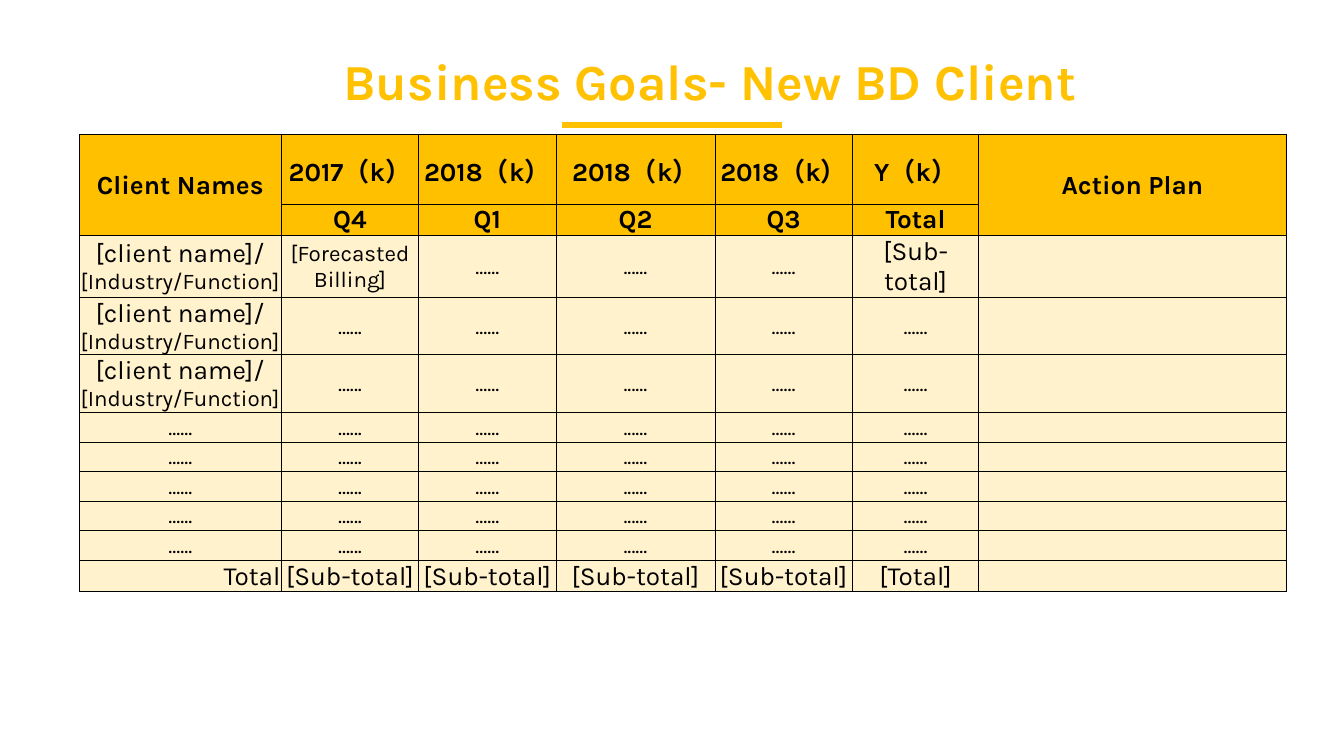
from lxml import etree
from pptx import Presentation, util as u
from pptx.dml.color import RGBColor
from pptx.enum import shapes, text
from pptx.oxml.ns import qn

# Content
HEADING = "Business Goals- New BD Client"
PERIODS = ["Client Names", "2017（k）", "2018（k）", "2018（k）", "2018（k）", "Y（k）", "Action Plan"]
QUARTERS = ["", "Q4", "Q1", "Q2", "Q3", "Total", ""]
CLIENT = "[client name]/\n[Industry/Function]"
DOTS = "......"
GOALS = [
    PERIODS,
    QUARTERS,
    [CLIENT, "[Forecasted Billing]", DOTS, DOTS, DOTS, "[Sub-total]", ""],
    *[[CLIENT] + [DOTS] * 5 + [""]] * 2,
    *[[DOTS] * 6 + [""]] * 5,
    ["Total"] + ["[Sub-total]"] * 4 + ["[Total]", ""],
]
SMALL_TEXTS = {DOTS, "[Industry/Function]", "[Forecasted Billing]", ""}

# Grid: column shares of the table width, row heights in inches
TABLE_WIDTH = 8.98
COLUMNS = [1.5, 1.02, 1.02, 1.18, 1.02, 0.94, 2.28]
ROWS = [0.22, 0.22, 0.29, 0.24] + [0.22] * 7
HEADER_ROWS = 2
CELL_MARGIN = u.Pt(0.5)

FONT = "Karla"
ACCENT = RGBColor(0xFF, 0xC1, 0x00)
HEADER_FILL = RGBColor(0xFF, 0xC0, 0x00)
BODY_FILL = RGBColor(0xFF, 0xF2, 0xCC)
BLACK = RGBColor(0, 0, 0)


def style(paragraph, size, color, bold, align=text.PP_ALIGN.CENTER):
    paragraph.alignment = align
    font = paragraph.font
    font.name, font.size, font.bold = FONT, u.Pt(size), bold
    font.color.rgb = color


def add_borders(cell):
    properties = cell._tc.get_or_add_tcPr()
    for index, side in enumerate(("lnL", "lnR", "lnT", "lnB")):
        border = etree.Element(qn(f"a:{side}"), w=str(u.Pt(0.5)))
        fill = etree.SubElement(border, qn("a:solidFill"))
        etree.SubElement(fill, qn("a:srgbClr"), val=str(BLACK))
        properties.insert(index, border)


def fill_cell(cell, content, is_header, align):
    cell.text = content
    cell.vertical_anchor = text.MSO_ANCHOR.MIDDLE
    cell.margin_left = cell.margin_right = cell.margin_top = CELL_MARGIN
    cell.margin_bottom = 0
    cell.fill.solid()
    cell.fill.fore_color.rgb = HEADER_FILL if is_header else BODY_FILL
    add_borders(cell)
    for paragraph in cell.text_frame.paragraphs:
        size = 12 if paragraph.text in SMALL_TEXTS else 14
        style(paragraph, size, BLACK, is_header, align)
        if not paragraph.text:
            etree.SubElement(paragraph._p, qn("a:endParaRPr"), sz=str(size * 100))


prs = Presentation()
prs.slide_width = u.Inches(10)
prs.slide_height = prs.slide_width * 9 // 16
slide = prs.slides.add_slide(prs.slide_layouts[5])

# Heading and its underline
heading = slide.shapes.title
heading.left, heading.top, heading.width, heading.height = map(u.Inches, (2.01, 0.37, 6.54, 0.51))
heading.text_frame.text = HEADING
heading_line = heading.text_frame.paragraphs[0]
style(heading_line, 27, ACCENT, True)
heading_line.line_spacing = 0.9
heading_line.space_before = u.Pt(7.5)

underline = slide.shapes.add_connector(
    shapes.MSO_CONNECTOR.STRAIGHT, *map(u.Inches, (4.18, 0.93, 5.82, 0.93)))
underline.line.color.rgb = ACCENT
underline.line.width = u.Pt(3)
etree.SubElement(underline._element.spPr, qn("a:effectLst"))

# Goals table
goals = slide.shapes.add_table(
    len(ROWS), len(COLUMNS), *map(u.Inches, (0.59, 1, TABLE_WIDTH, sum(ROWS)))).table
for column, share in zip(goals.columns, COLUMNS):
    column.width = u.Inches(TABLE_WIDTH * share / sum(COLUMNS))
for row, height in zip(goals.rows, ROWS):
    row.height = u.Inches(height)
for r, values in enumerate(GOALS):
    for c, value in enumerate(values):
        is_total_label = r == len(GOALS) - 1 and c == 0
        align = text.PP_ALIGN.RIGHT if is_total_label else text.PP_ALIGN.CENTER
        fill_cell(goals.cell(r, c), value, r < HEADER_ROWS, align)
for c in (0, len(COLUMNS) - 1):
    goals.cell(0, c).merge(goals.cell(HEADER_ROWS - 1, c))

prs.save("out.pptx")
